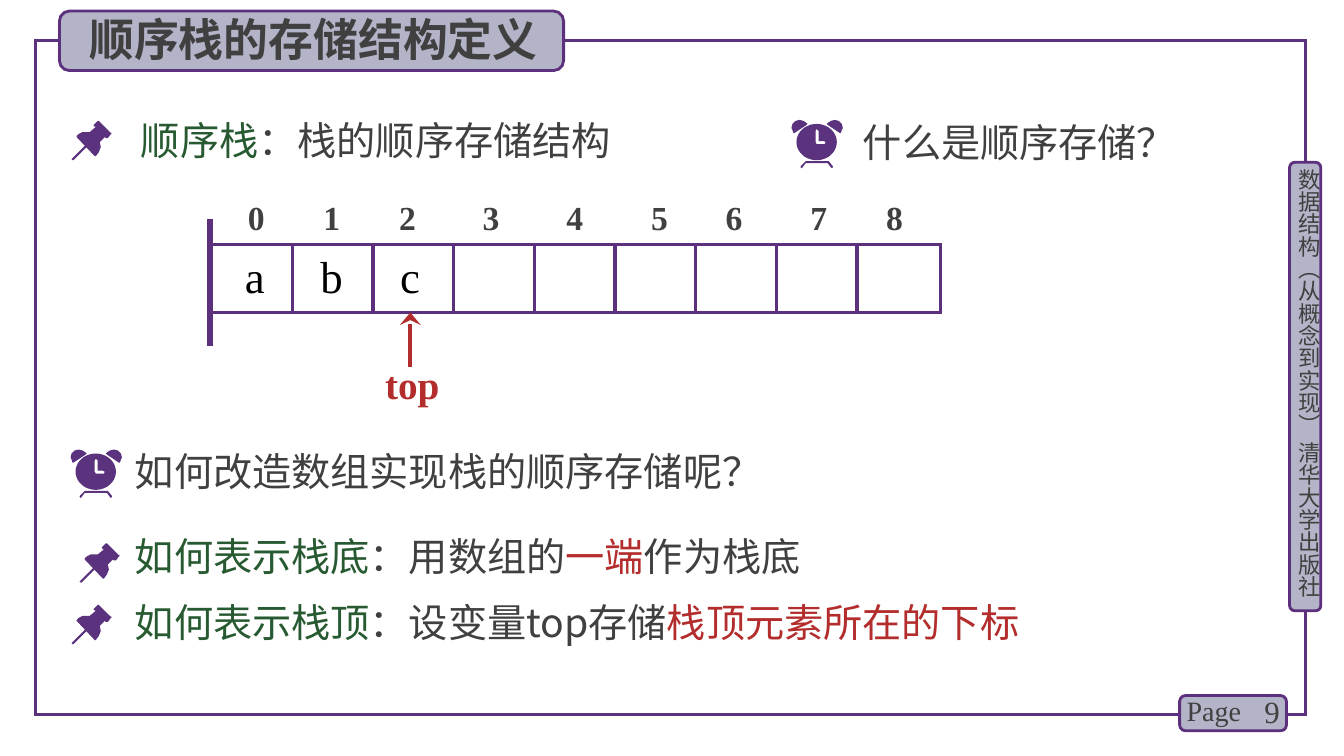
from math import cos, pi, sin

from lxml.etree import SubElement
from pptx import Presentation
from pptx.dml.color import RGBColor
from pptx.enum.shapes import MSO_CONNECTOR, MSO_SHAPE as SHAPE
from pptx.enum.text import MSO_ANCHOR, MSO_AUTO_SIZE, PP_ALIGN as ALIGN
from pptx.oxml.ns import qn
from pptx.util import Inches, Pt

COLORS = {
    "frame": "5A327D", "edge": "5C307D", "panel": "B4B4C8", "text": "404040",
    "green": "285A32", "red": "B42D2D", "black": "000000",
}
RGB = {name: RGBColor.from_string(value) for name, value in COLORS.items()}
SANS, SERIF = "Noto Sans CJK SC", "Times New Roman"


def write(sp, box, runs, size, font=SANS, bold=False, align=ALIGN.LEFT, tabs=()):
    """Place a text shape and fill its one paragraph with (text, color) runs."""
    sp.left, sp.top, sp.width, sp.height = map(Inches, box)
    tf = sp.text_frame
    tf.word_wrap = True
    tf.auto_size = MSO_AUTO_SIZE.SHAPE_TO_FIT_TEXT
    tf.vertical_anchor = MSO_ANCHOR.TOP
    p = tf.paragraphs[0]
    p.alignment = align
    if tabs:
        tab_list = SubElement(p._p.get_or_add_pPr(), qn("a:tabLst"))
        for stop in tabs:
            SubElement(tab_list, qn("a:tab"), pos=str(Inches(stop)), algn="l")
    for text, color in runs:
        r = p.add_run()
        r.text = text
        r.font.size, r.font.name, r.font.bold = Pt(size), font, bold
        r.font.color.rgb = RGB[color]
        SubElement(r._r.get_or_add_rPr(), qn("a:ea"), typeface=font)
    return tf


def add_line(x1, y1, x2, y2, color, width):
    line = s.shapes.add_connector(MSO_CONNECTOR.STRAIGHT, *map(Inches, (x1, y1, x2, y2)))
    line.line.color.rgb = RGB[color]
    line.line.width = Pt(width)
    SubElement(line._element.spPr, qn("a:effectLst"))
    return line


prs = Presentation()
prs.slide_width, prs.slide_height = Inches(13.33), Inches(7.5)
s = prs.slides.add_slide(prs.slide_layouts[5])

# Page frame, its three labels and the outline of the array
ARRAY_LEFT, ARRAY_TOP, ARRAY_HEIGHT, CELL = 2.09, 2.43, 0.67, 0.8
for kind, box, fill, edge, width in [
    (SHAPE.RECTANGLE, (0.35, 0.4, 12.6, 6.69), None, "frame", 2.25),
    (SHAPE.ROUNDED_RECTANGLE, (12.79, 1.61, 0.31, 4.45), "panel", "edge", 2),
    (SHAPE.ROUNDED_RECTANGLE, (11.7, 6.9, 1.06, 0.35), "panel", "edge", 2),
    (SHAPE.ROUNDED_RECTANGLE, (0.59, 0.11, 5, 0.59), "panel", "edge", 2),
    (SHAPE.RECTANGLE, (ARRAY_LEFT, ARRAY_TOP, 7.24, ARRAY_HEIGHT), None, "edge", 2.25),
]:
    sp = s.shapes.add_shape(kind, *map(Inches, box))
    sp.shadow.inherit = False
    sp.line.color.rgb, sp.line.width = RGB[edge], Pt(width)
    if fill:
        sp.fill.solid()
        sp.fill.fore_color.rgb = RGB[fill]
    else:
        sp.fill.background()
        SubElement(sp.line._get_or_add_ln(), qn("a:miter"), lim="800000")

# Cell borders, stack bottom and top pointer
for i in range(1, 9):
    x = ARRAY_LEFT + 0.01 + i * CELL
    add_line(x, ARRAY_TOP, x, ARRAY_TOP + ARRAY_HEIGHT, "edge", 2.25)
add_line(2.08, 2.17, 2.08, 3.43, "edge", 4.5)
pointer = add_line(4.07, 3.64, 4.07, ARRAY_TOP + ARRAY_HEIGHT, "red", 3)
SubElement(pointer.line._get_or_add_ln(), qn("a:tailEnd"), type="stealth", w="lg")

# Icons: each part is a list of contours, in inches from the icon's corner
pin = [
    [[(0.39, 0.12), (0.27, 0), (0.26, 0), (0.22, 0.04), (0.22, 0.05), (0.24, 0.06),
      (0.18, 0.11), (0.15, 0.11), (0.11, 0.11), (0.07, 0.13), (0.05, 0.15), (0.05, 0.16),
      (0.23, 0.35), (0.24, 0.35), (0.27, 0.31), (0.29, 0.26), (0.28, 0.21), (0.33, 0.16),
      (0.34, 0.17), (0.36, 0.17), (0.39, 0.13), (0.4, 0.12)]],
    [[(0.02, 0.39), (0.01, 0.39), (0, 0.38), (0.01, 0.37), (0.14, 0.24), (0.15, 0.23),
      (0.16, 0.24), (0.15, 0.26)]],
]
feet = [(0.41, 0.46), (0.37, 0.41), (0.14, 0.41), (0.09, 0.46), (0.09, 0.47),
        (0.1, 0.48), (0.11, 0.47), (0.14, 0.43), (0.36, 0.43), (0.39, 0.47),
        (0.4, 0.48), (0.41, 0.47)]
bell = [(0.08, 0), (0.04, 0.01), (0.01, 0.04), (0, 0.08), (0.01, 0.1), (0.02, 0.13),
        (0.03, 0.13), (0.15, 0.05), (0.16, 0.04), (0.15, 0.03), (0.12, 0.01)]
dial = [(0.25 + 0.2 * cos(k * pi / 20), 0.22 + 0.18 * sin(k * pi / 20)) for k in range(40)]
hands = [(0.32, 0.24), (0.25, 0.24), (0.24, 0.22), (0.24, 0.11), (0.25, 0.09),
         (0.27, 0.11), (0.27, 0.21), (0.32, 0.21), (0.34, 0.22), (0.33, 0.24)]
clock = [[feet], [bell], [[(0.51 - x, y) for x, y in bell]], [dial, hands]]

UNITS = 1000  # freeform points are whole numbers, in thousandths of an inch
for icon, left, top in [
    (pin, 0.71, 1.2), (pin, 0.79, 5.39), (pin, 0.71, 6),
    (clock, 7.85, 1.19), (clock, 0.7, 4.46),
]:
    for contours in icon:
        outlines = [[(round((left + x) * UNITS), round((top + y) * UNITS)) for x, y in c]
                    for c in contours]
        builder = s.shapes.build_freeform(*outlines[0][0], scale=Inches(1) / UNITS)
        builder.add_line_segments(outlines[0][1:], close=True)
        for hole in outlines[1:]:
            builder.move_to(*hole[0])
            builder.add_line_segments(hole[1:], close=True)
        sp = builder.convert_to_shape()
        sp.shadow.inherit = False
        sp.fill.solid()
        sp.fill.fore_color.rgb = RGB["frame"]
        sp.line.fill.background()

# Title, lifted above its panel
title = s.shapes.title
s.shapes.element.append(title.element)
write(title, (0.7, 0.07, 4.82, 0.64), [("顺序栈的存储结构定义", "text")], 32,
      bold=True, align=ALIGN.CENTER)

# Statements
for box, runs in [
    ((1.3, 1.1, 5.92, 0.57), [("顺序栈", "green"), ("：栈的顺序存储结构", "text")]),
    ((8.46, 1.12, 3.79, 0.57), [("什么是顺序存储？", "text")]),
    ((1.24, 4.39, 6.56, 0.57), [("如何改造数组实现栈的顺序存储呢？", "text")]),
    ((1.24, 5.23, 11.3, 0.57), [("如何表示栈底", "green"), ("：用数组的", "text"),
                                ("一端", "red"), ("作为栈底", "text")]),
    ((1.24, 5.89, 10.16, 0.57), [("如何表示栈顶", "green"), ("：设变量top存储", "text"),
                                 ("栈顶元素所在的下标", "red")]),
]:
    write(s.shapes.add_textbox(0, 0, 0, 0), box, runs, 28)

# Array labels and page label
for box, text, color, size, bold, tabs in [
    ((2.11, 1.9, 7.33, 0.5), "\t" + "\t".join("012345678"), "text", 24, True,
     (0.25, 1, 1.75, 2.58, 3.41, 4.25, 4.99, 5.83, 6.58)),
    ((2.33, 2.42, 3.81, 0.64), "a\tb\tc", "black", 32, False, (0.75, 1.54)),
    ((3.72, 3.53, 0.79, 0.57), "top", "red", 28, True, ()),
    ((11.67, 6.83, 0.78, 0.44), "Page", "text", 20, False, ()),
]:
    write(s.shapes.add_textbox(0, 0, 0, 0), box, [(text, color)], size, SERIF, bold, tabs=tabs)
tf = write(s.shapes.add_textbox(0, 0, 0, 0), (12.2, 6.86, 0.59, 0.4), [("9", "text")], 22,
           SERIF, align=ALIGN.RIGHT)
tf.auto_size = MSO_AUTO_SIZE.NONE
tf.vertical_anchor = MSO_ANCHOR.MIDDLE

# Vertical book label
tf = write(s.shapes.add_textbox(0, 0, 0, 0), (12.85, 1.67, 0.27, 4.49),
           [("数据结构（从概念到实现） 清华大学出版社", "text")], 16)
tf.margin_left = tf.margin_right = tf.margin_top = tf.margin_bottom = 0
tf._txBody.bodyPr.set("vert", "eaVert")

prs.save("out.pptx")
